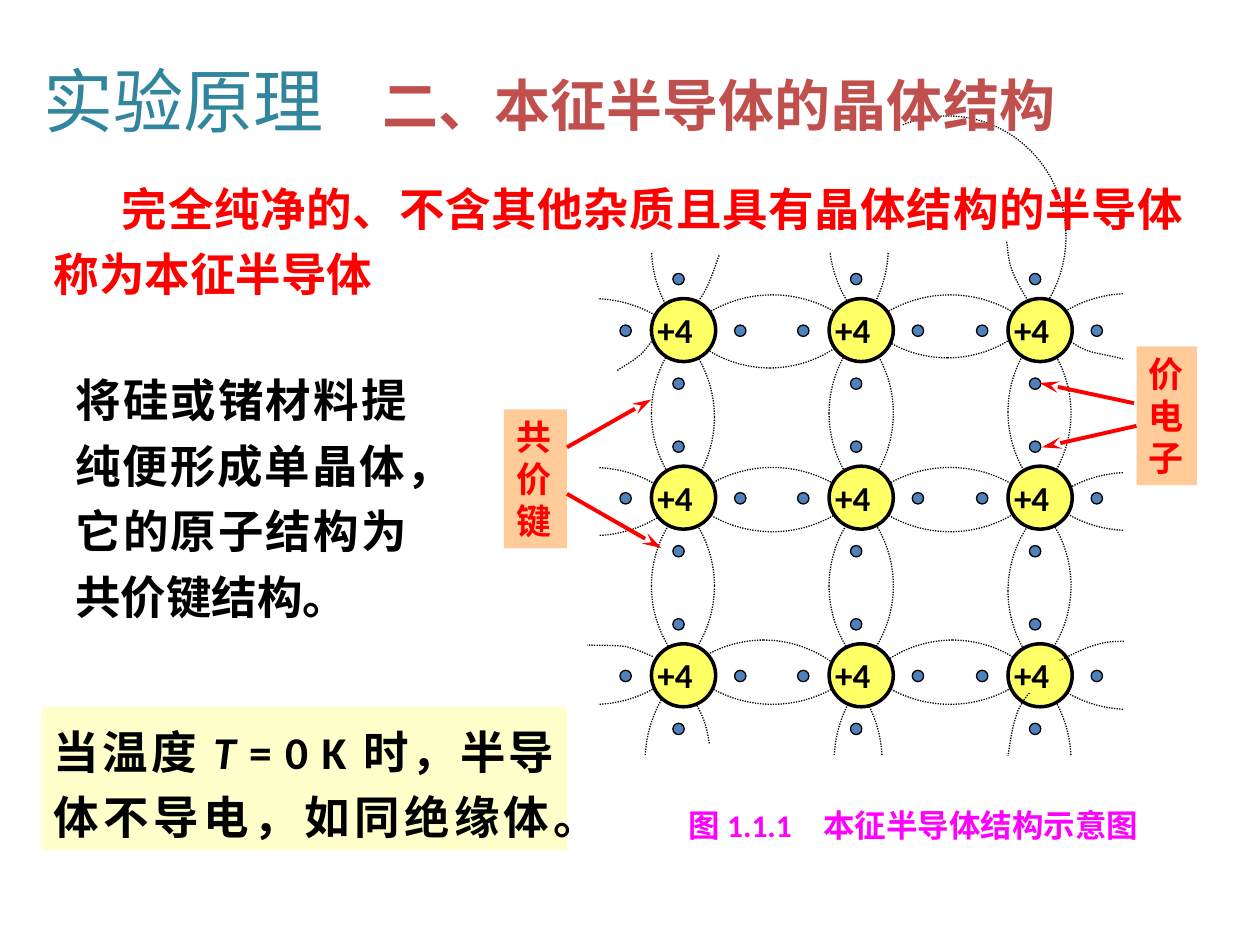
from itertools import product

from lxml import etree
from pptx import Presentation
from pptx.dml.color import RGBColor
from pptx.enum import dml, shapes, text
from pptx.oxml import ns
from pptx import util as u

PX = 9144  # EMU per px, 100 px to the inch

BLACK = RGBColor(0x00, 0x00, 0x00)
WHITE = RGBColor(0xFF, 0xFF, 0xFF)
RED = RGBColor(0xFF, 0x00, 0x00)
BRICK = RGBColor(0xC0, 0x50, 0x4D)
TEAL = RGBColor(0x31, 0x85, 0x9C)
BLUE = RGBColor(0x4F, 0x81, 0xBD)
YELLOW = RGBColor(0xFF, 0xFF, 0x66)
CREAM = RGBColor(0xFF, 0xFF, 0xCC)
PEACH = RGBColor(0xFF, 0xCC, 0x99)
PINK = RGBColor(0xFF, 0x00, 0xFF)

OVAL = shapes.MSO_SHAPE.OVAL
RECT = shapes.MSO_SHAPE.RECTANGLE
LEFT, CENTER, JUST = (text.PP_ALIGN.LEFT, text.PP_ALIGN.CENTER,
                      text.PP_ALIGN.JUSTIFY)


class Board:
    """Holds the style and the current slide."""

    latin = "Calibri"
    asian = "Noto Sans CJK SC"

    def __init__(self, slide):
        self.shapes = slide.shapes

    def shape(self, kind, box, fill=None, line=None, rot=0):
        item = self.shapes.add_shape(kind, *(v * PX for v in box))
        item.rotation = rot
        return self.paint(item, fill, line)

    def paint(self, item, fill=None, line=None):
        item.shadow.inherit = False
        if fill is None:
            item.fill.background()
        else:
            item.fill.solid()
            item.fill.fore_color.rgb = fill
        if line is None:
            item.line.fill.background()
        else:
            item.line.color.rgb = BLACK
            item.line.width = u.Pt(line)
        return item

    def dots(self, item):
        item.line.dash_style = dml.MSO_LINE.ROUND_DOT

    def ring(self, x, y, rot):
        self.dots(self.shape(OVAL, (x, y, 192, 188), line=0.75, rot=rot))

    def mask(self, x, y, rot):
        self.shape(RECT, (x, y, 108, 208), WHITE, rot=rot)

    def arc(self, *pts):
        """Draws two joined cubic curves through seven points."""
        pen = self.shapes.build_freeform(*pts[0], scale=PX)
        pen.add_line_segments(pts[1:], close=False)
        item = self.paint(pen.convert_to_shape(), line=0.75)
        self.dots(item)
        # Every three straight steps become one curve
        steps = list(item._element.iter(ns.qn("a:lnTo")))
        for i in range(0, len(steps), 3):
            curve = etree.Element(ns.qn("a:cubicBezTo"))
            steps[i].addprevious(curve)
            for step in steps[i:i + 3]:
                curve.append(step[0])
                step.getparent().remove(step)

    def label(self, box, runs, size, color, fill=None, align=LEFT, bold=True,
              space=None, indent=0, wrap=True, latin=None,
              anchor=text.MSO_ANCHOR.TOP):
        """Sets text, given as (words, italic) runs, in a plain or filled box."""
        if fill is None:
            item = self.shapes.add_textbox(*(v * PX for v in box))
        else:
            item = self.shape(RECT, box, fill)
        frame = item.text_frame
        frame.word_wrap = wrap
        frame.vertical_anchor = anchor
        para = frame.paragraphs[0]
        para.alignment = align
        para.line_spacing = space
        font = para.font
        font.size, font.bold, font.name = u.Pt(size), bold, latin or self.latin
        font.color.rgb = color
        props = para._p.get_or_add_pPr()
        if indent:
            props.set("indent", str(indent * PX))
        etree.SubElement(props.find(ns.qn("a:defRPr")), ns.qn("a:ea"),
                         typeface=self.asian)
        for words, slant in runs:
            run = para.add_run()
            run.text = words
            if slant:
                run.font.italic = True

    def arrow(self, *ends):
        line = self.shapes.add_connector(shapes.MSO_CONNECTOR.STRAIGHT,
                                         *(v * PX for v in ends))
        line.line.color.rgb = RED
        line.line.width = u.Pt(2.25)
        etree.SubElement(line.line._get_or_add_ln(), ns.qn("a:tailEnd"),
                         type="stealth", w="med", len="lg")
        etree.SubElement(line._element.spPr, ns.qn("a:effectLst"))

    def atom(self, x, y):
        for dx, dy in ((-25, 21), (17, 63), (66, 21), (17, -20)):
            self.shape(OVAL, (x + dx, y + dy, 9, 9), BLUE, 0.75)
        self.shape(OVAL, (x, y, 51, 50), YELLOW, 2)
        self.label((x - 5, y + 3, 63, 43), [("+4", False)], 20, BLACK)


def main():
    deck = Presentation()
    deck.slide_width, deck.slide_height = 1000 * PX, 750 * PX
    board = Board(deck.slides.add_slide(deck.slide_layouts[6]))

    # Title
    board.label((25, 27, 766, 104), [("实验原理", False)], 40, TEAL,
                bold=False, latin=board.asian, anchor=text.MSO_ANCHOR.MIDDLE)

    # Bond ends at the upper edge
    board.arc((490, 294), (496, 290), (502, 287), (509, 281),
              (515, 275), (524, 261), (527, 256))
    board.arc((546, 248), (551, 243), (556, 238), (560, 230),
              (564, 223), (569, 207), (571, 202))
    board.arc((842, 265), (848, 270), (853, 274), (862, 278),
              (870, 281), (886, 283), (891, 285))

    # Outer bonds, each half hidden by a mask
    board.ring(656, 94, 270)
    for ring, mask, rot in (
        ((515, 102), (558, 42), 270),
        ((375, 371), (367, 358), 180),
        ((375, 237), (367, 225), 180),
        ((510, 510), (550, 550), 90),
        ((660, 510), (700, 550), 90),
        ((800, 233), (892, 225), 0),
        ((800, 375), (892, 367), 0),
    ):
        board.ring(*ring, rot)
        board.mask(*mask, rot)

    # Inner bonds
    for x, y in product((517, 658), (234, 371)):
        board.ring(x, y, 0)

    # Lattice of atoms with their electrons
    for x, y in product((517, 658, 800), (237, 370, 511)):
        board.atom(x, y)

    # Bond ends at the lower and right edges
    board.arc((817, 550), (812, 556), (808, 562), (806, 570),
              (803, 578), (801, 595), (800, 600))
    board.arc((892, 509), (885, 509), (878, 509), (869, 512),
              (861, 514), (846, 522), (841, 524))
    board.arc((518, 521), (511, 518), (505, 515), (496, 513),
              (488, 512), (471, 512), (466, 512))
    board.arc((563, 590), (562, 586), (562, 582), (560, 576),
              (559, 571), (554, 561), (552, 558))
    board.arc((799, 192), (800, 199), (800, 206), (803, 214),
              (806, 223), (815, 237), (817, 241))

    # Body text
    board.label((33, 130, 917, 114),
                [("完全纯净的、不含其他杂质且具有晶体结构的半导体称为本征半导体", False)],
                26, RED, align=JUST, space=1.2, indent=54)
    board.label((50, 282, 283, 218),
                [("将硅或锗材料提纯便形成单晶体，它的原子结构为共价键结构。", False)],
                26, BLACK, align=JUST, space=1.2)

    # Labels, caption and arrows
    board.label((902, 275, 48, 110), [("价电子", False)], 20, RED, PEACH)
    board.label((400, 325, 50, 110), [("共价键", False)], 20, RED, PEACH)
    board.label((475, 635, 500, 50),
                [("图 1.1.1　本征半导体结构示意图", False)], 18, PINK, align=CENTER)
    for ends in ((450, 355, 517, 317), (450, 392, 525, 435),
                 (900, 320, 825, 304), (902, 338, 827, 355)):
        board.arrow(*ends)

    # Subtitle and note
    board.label((294, 51, 556, 63), [("二、本征半导体的晶体结构", False)],
                32, BRICK, wrap=False)
    board.label((33, 561, 417, 114),
                [("当温度 ", False), ("T ", True),
                 ("= 0 K 时，半导体不导电，如同绝缘体。", False)],
                26, BLACK, CREAM, JUST, space=1.2)

    deck.save("out.pptx")


if __name__ == "__main__":
    main()
